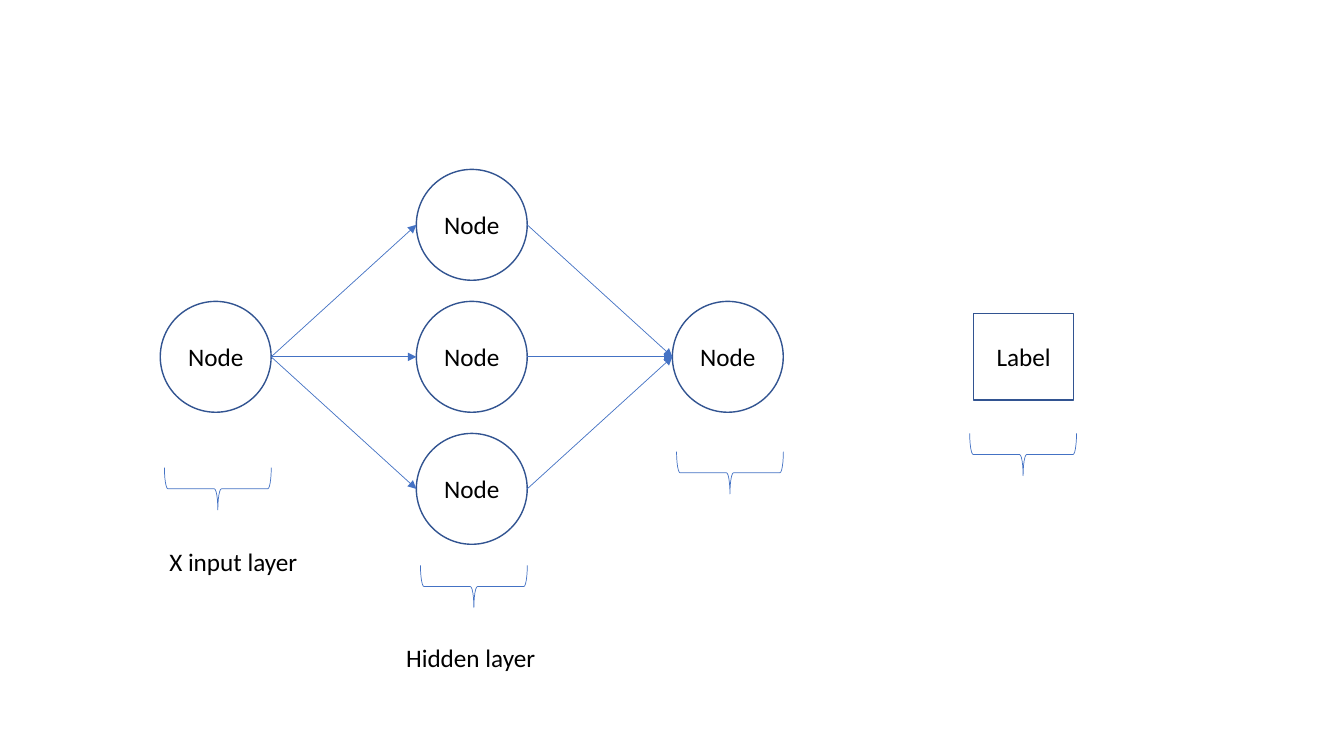
"""Build a slide showing a small neural network with its layers and label."""
from dataclasses import dataclass

from lxml import etree
from pptx import Presentation
from pptx.dml.color import RGBColor
from pptx.enum import shapes, text
from pptx.oxml.ns import qn
from pptx.util import Pt

OUTLINE = "325491"
ACCENT = "4472C4"
BLACK = "000000"
DIAMETER = 79.2
RADIUS = DIAMETER / 2
MIDDLE_Y = 254.9
ROW_STEP = 94.3
INPUT_X, HIDDEN_X, OUTPUT_X = (154.1 + 182.9 * column for column in range(3))
BRACE_WIDTH, BRACE_HEIGHT = 30.2, 76.3


@dataclass(frozen=True)
class Box:
    kind: shapes.MSO_SHAPE
    caption: str
    center_x: float
    center_y: float
    width: float = DIAMETER
    height: float = DIAMETER


@dataclass(frozen=True)
class Brace:
    center_x: float
    center_y: float


@dataclass(frozen=True)
class Caption:
    wording: str
    left: float
    top: float
    width: float


def node(center_x: float, center_y: float) -> Box:
    return Box(shapes.MSO_SHAPE.OVAL, "Node", center_x, center_y)


INPUT_NODE = node(INPUT_X, MIDDLE_Y)
HIDDEN_NODES = [node(HIDDEN_X, MIDDLE_Y + ROW_STEP * row) for row in (-1, 0, 1)]
OUTPUT_NODE = node(OUTPUT_X, MIDDLE_Y)
LABEL = Box(shapes.MSO_SHAPE.RECTANGLE, "Label", 731.2, MIDDLE_Y, 71.3, 61.9)
BRACES = [
    Brace(HIDDEN_X + 1.5, 419),
    Brace(INPUT_X + 1.5, 349.2),
    Brace(OUTPUT_X + 1.5, 337.7),
    Brace(730.8, 324.7),
]
CAPTIONS = [
    Caption("Hidden layer", 283, 455, 108),
    Caption("X input layer", 113.8, 386.6, 107.3),
]


def color(hex_value: str) -> RGBColor:
    return RGBColor.from_string(hex_value)


def set_line(shape, hex_value: str, width: float) -> None:
    shape.line.color.rgb = color(hex_value)
    shape.line.width = Pt(width)


def add_outline(slide, kind, center_x: float, center_y: float, width: float, height: float):
    shape = slide.shapes.add_shape(
        kind, Pt(center_x - width / 2), Pt(center_y - height / 2), Pt(width), Pt(height)
    )
    shape.shadow.inherit = False
    shape.fill.background()
    return shape


def write(shape, wording: str, alignment: text.PP_ALIGN) -> None:
    paragraph = shape.text_frame.paragraphs[0]
    paragraph.text = wording
    paragraph.alignment = alignment
    paragraph.font.name = "Calibri"
    paragraph.font.size = Pt(18)
    paragraph.font.color.rgb = color(BLACK)


def draw_box(slide, box: Box) -> None:
    shape = add_outline(slide, box.kind, box.center_x, box.center_y, box.width, box.height)
    set_line(shape, OUTLINE, 1)
    shape.text_frame.vertical_anchor = text.MSO_ANCHOR.MIDDLE
    write(shape, box.caption, text.PP_ALIGN.CENTER)


def draw_brace(slide, brace: Brace) -> None:
    shape = add_outline(
        slide, shapes.MSO_SHAPE.RIGHT_BRACE,
        brace.center_x, brace.center_y, BRACE_WIDTH, BRACE_HEIGHT,
    )
    shape.rotation = 90
    set_line(shape, ACCENT, 0.5)


def draw_caption(slide, caption: Caption) -> None:
    shape = slide.shapes.add_textbox(
        Pt(caption.left), Pt(caption.top), Pt(caption.width), Pt(29)
    )
    shape.text_frame.word_wrap = False
    shape.text_frame.auto_size = text.MSO_AUTO_SIZE.SHAPE_TO_FIT_TEXT
    write(shape, caption.wording, text.PP_ALIGN.LEFT)


def draw_arrow(slide, source: Box, target: Box) -> None:
    connector = slide.shapes.add_connector(
        shapes.MSO_CONNECTOR.STRAIGHT,
        Pt(source.center_x + RADIUS), Pt(source.center_y),
        Pt(target.center_x - RADIUS), Pt(target.center_y),
    )
    set_line(connector, ACCENT, 0.5)
    etree.SubElement(connector.line._get_or_add_ln(), qn("a:tailEnd"), type="triangle")
    etree.SubElement(connector._element.spPr, qn("a:effectLst"))


def main() -> None:
    presentation = Presentation()
    presentation.slide_width, presentation.slide_height = Pt(960), Pt(540)
    slide = presentation.slides.add_slide(presentation.slide_layouts[6])
    for box in [INPUT_NODE, *HIDDEN_NODES, OUTPUT_NODE, LABEL]:
        draw_box(slide, box)
    for brace in BRACES:
        draw_brace(slide, brace)
    for caption in CAPTIONS:
        draw_caption(slide, caption)
    for hidden in HIDDEN_NODES:
        draw_arrow(slide, INPUT_NODE, hidden)
        draw_arrow(slide, hidden, OUTPUT_NODE)
    presentation.save("out.pptx")


if __name__ == "__main__":
    main()
